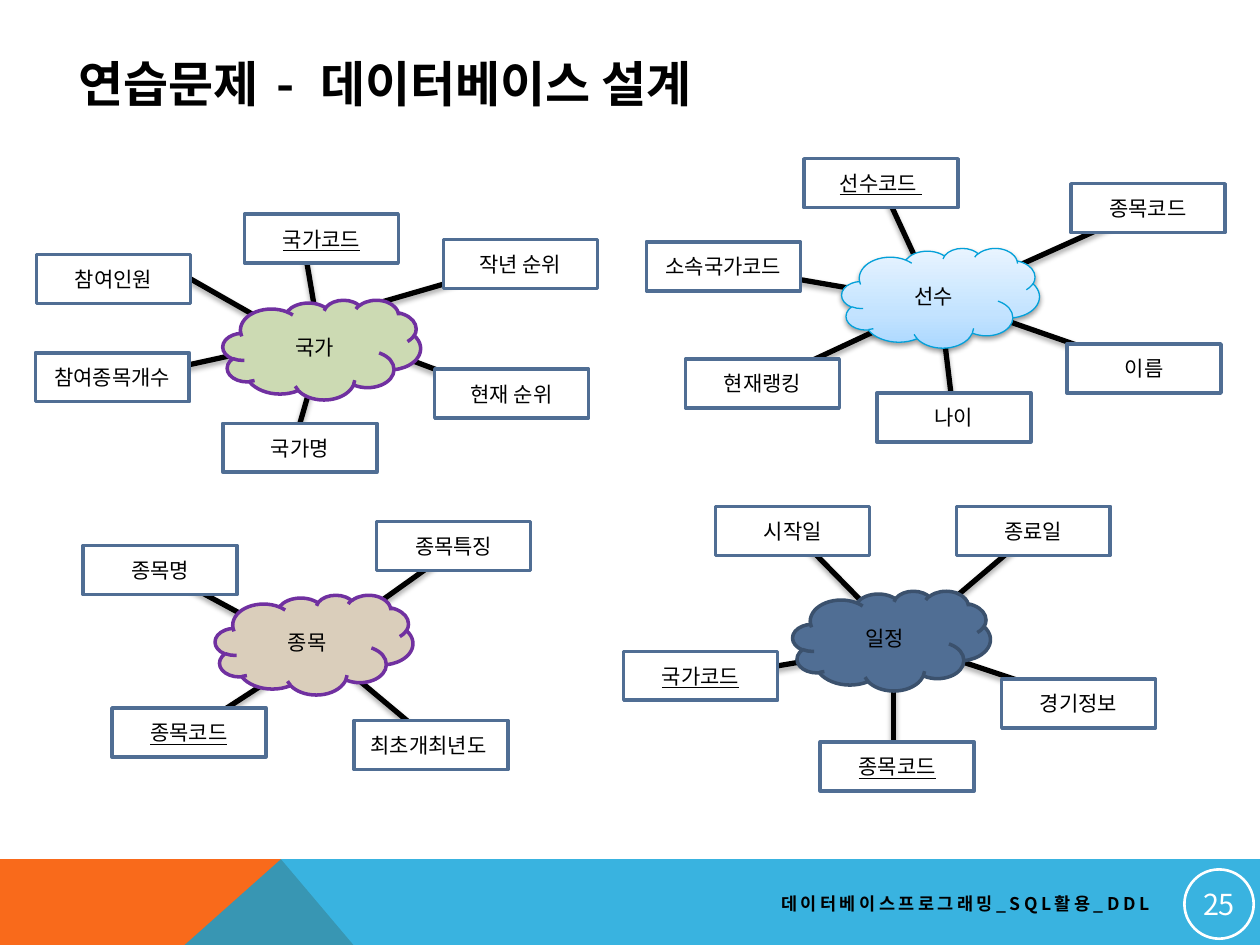
from lxml import etree
from pptx import Presentation
from pptx import util as u
from pptx.dml.color import RGBColor
from pptx.enum import shapes, text
from pptx.oxml import parse_xml
from pptx.oxml.ns import nsdecls, qn

Pt = u.Pt
MID = text.MSO_ANCHOR.MIDDLE
LEFT, CENTER, RIGHT = text.PP_ALIGN.LEFT, text.PP_ALIGN.CENTER, text.PP_ALIGN.RIGHT

THEME = {
    "font": "Noto Sans CJK KR",
    "ink": "000000", "paper": "FFFFFF", "box": "506E94",
    "orange": "F96A1B", "blue": "08A1D9",
    "title": 28, "label": 12, "foot": 10, "page": 16.5,
}
BOX, CLOUD = (88, 28), (113, 57)
TITLE = [("연습문제", 0), (" - ", 4.2), ("데이터베이스 설계", 0)]
FOOT = "데이터베이스프로그래밍_SQL활용_DDL"
PAGE = "25"
BANDS = [
    ("orange", 100, [(0, 491), (160.6, 491), (202, 540), (0, 540)]),
    ("blue", 80, [(160.6, 491), (720, 491), (720, 540), (105.5, 540)]),
]
SKY = [(0, "ABD8FF"), (35, "C3E3FF"), (100, "E8F4FF")]

# label, box corner, hub end, key?, box end: None = centre, number = side, pair = point
ENTITIES = [
    {"name": "종목", "at": (123, 340), "fill": "DACEBB", "line": ("7030A0", 2), "parts": [
        ("최초개최년도 ", (202.3, 411.8), (179.3, 367.2), False, (249, 425.5)),
        ("종목코드", (64, 404.6), (170.6, 378), True, None),
        ("종목명", (47.5, 311.8), (170.6, 368.6), False, None),
        ("종목특징", (215.3, 298), (179.3, 370.8), False, (259.2, 313.9)),
    ]},
    {"name": "일정", "at": (453, 337.7), "fill": "506E94", "line": ("3B516D", 2), "parts": [
        ("국가코드", (356.4, 372.2), (509.8, 369.4), True, (400.3, 388)),
        ("시작일", (409, 289.4), (509.8, 361.4), False, None),
        ("경기정보", (572.4, 388), (512.6, 365.8), False, (616.3, 400.3)),
        ("종료일", (546.5, 289.4), (545, 342), False, None),
        ("종목코드", (468.7, 424), (510.5, 369.4), True, (510.5, 436.3)),
    ]},
    {"name": "선수", "at": (481, 141.8), "fill": SKY, "line": ("03A0D9", 0.75), "parts": [
        ("종목코드", (612, 105), (541.4, 170), False, (653.8, 119.5)),
        ("이름", (609.8, 196.6), (537, 170), False, None),
        ("현재랭킹", (391.7, 205.2), (537, 172), False, None),
        ("나이", (501.1, 224.6), (537, 172), False, None),
        ("선수코드 ", (459.4, 90.7), (534.2, 171.4), True, None),
        ("소속국가코드", (369.4, 138.2), (536.4, 173.5), False, None),
    ]},
    {"name": "국가", "at": (127.4, 171.4), "fill": "CCDAB3", "line": ("7030A0", 2), "parts": [
        ("참여종목개수", (20.2, 201.6), (152.6, 198.7), False, (73.4, 216)),
        ("참여인원", (20.9, 145.4), (177.8, 198.7), False, 3),
        ("국가코드", (139.7, 122.4), (183.6, 198.7), True, (171.4, 126.7)),
        ("현재 순위", (248.4, 211), (208, 195.8), False, (285, 224.6)),
        ("국가명", (127.4, 241.9), (183.6, 199.4), False, 0),
        ("작년 순위", (253.4, 136.8), (197.3, 178.6), False, (292.3, 151.2)),
    ]},
]


def rgb(c):
    return RGBColor.from_string(c)


def write(shape, runs, size, align=CENTER, color="ink", inset=None, **fmt):
    frame = shape.text_frame
    frame.word_wrap, frame.vertical_anchor = True, MID
    if inset is not None:
        for side in ("left", "right", "top", "bottom"):
            setattr(frame, "margin_" + side, Pt(inset))
    par = frame.paragraphs[0]
    par.alignment = align
    fmt = {"size": Pt(THEME[size]), "name": THEME["font"], **fmt}
    for words, gap in runs:
        run = par.add_run()
        run.text = words
        run.font.color.rgb = rgb(THEME[color])
        for key, val in fmt.items():
            setattr(run.font, key, val)
        props = run._r.get_or_add_rPr()
        etree.SubElement(props, qn("a:ea")).set("typeface", THEME["font"])
        if gap:
            props.set("spc", str(round(gap * 100)))


def shade(shape, alpha, dist):
    shape._element.spPr.append(parse_xml(
        f'<a:effectLst {nsdecls("a")}><a:outerShdw blurRad="{Pt(3.1)}" dist="{Pt(dist)}" '
        f'dir="5400000" rotWithShape="0"><a:srgbClr val="000000">'
        f'<a:alpha val="{alpha * 1000}"/></a:srgbClr></a:outerShdw></a:effectLst>'))


def blend(shape, stops):
    marks = "".join(f'<a:gs pos="{p * 1000}"><a:srgbClr val="{c}"/></a:gs>' for p, c in stops)
    shape._element.spPr.insert(2, parse_xml(
        f'<a:gradFill {nsdecls("a")} rotWithShape="1"><a:gsLst>{marks}</a:gsLst>'
        f'<a:lin ang="16200000" scaled="0"/></a:gradFill>'))


def node(slide, kind, at, size, fill, line):
    shape = slide.shapes.add_shape(kind, *map(Pt, at + size))
    if isinstance(fill, list):
        blend(shape, fill)
    elif fill:
        shape.fill.solid()
        shape.fill.fore_color.rgb = rgb(fill)
    else:
        shape.fill.background()
    shape.line.color.rgb, shape.line.width = rgb(line[0]), Pt(line[1])
    if isinstance(fill, list):
        shade(shape, 38, 1.6)
    else:
        shape.shadow.inherit = False
    return shape


def link(slide, box, at, hub, end):
    point = end if isinstance(end, tuple) else tuple(a + s / 2 for a, s in zip(at, BOX))
    wire = slide.shapes.add_connector(shapes.MSO_CONNECTOR.STRAIGHT, *map(Pt, point + hub))
    if isinstance(end, int):
        wire.begin_connect(box, end)
    wire.line.color.rgb, wire.line.width = rgb(THEME["ink"]), Pt(3)
    shade(wire, 35, 1.8)
    slide.shapes._spTree.insert(2, wire._element)


def draw(slide, item):
    for label, at, hub, key, end in item["parts"]:
        box = node(slide, shapes.MSO_SHAPE.RECTANGLE, at, BOX, THEME["paper"], (THEME["box"], 2))
        write(box, [(label, 0)], "label", underline=key)
        link(slide, box, at, hub, end)
    cloud = node(slide, shapes.MSO_SHAPE.CLOUD, item["at"], CLOUD, item["fill"], item["line"])
    write(cloud, [(item["name"], 0)], "label")


def band(slide, color, alpha, points):
    pen = slide.shapes.build_freeform(*map(Pt, points[0]))
    pen.add_line_segments([tuple(map(Pt, p)) for p in points[1:]], close=True)
    shape = pen.convert_to_shape()
    shape.shadow.inherit = False
    shape.line.fill.background()
    shape.fill.solid()
    shape.fill.fore_color.rgb = rgb(THEME[color])
    if alpha < 100:
        tint = shape._element.spPr.find(".//" + qn("a:srgbClr"))
        etree.SubElement(tint, qn("a:alpha")).set("val", str(alpha * 1000))


def main():
    deck = Presentation()
    deck.slide_width, deck.slide_height = Pt(720), Pt(540)
    slide = deck.slides.add_slide(deck.slide_layouts[5])
    for args in BANDS:
        band(slide, *args)
    head = slide.shapes.title
    for key, val in zip(("left", "top", "width", "height"), (37.4, 25.9, 592, 43.2)):
        setattr(head, key, Pt(val))
    write(head, TITLE, "title", LEFT, bold=True)
    foot = slide.shapes.add_textbox(*map(Pt, (257.8, 505.4, 406, 21.6)))
    write(foot, [(FOOT, 2)], "foot", RIGHT, bold=True)
    ring = node(slide, shapes.MSO_SHAPE.OVAL, (676.8, 496.8), (39.6, 39.6), None, (THEME["paper"], 1.5))
    write(ring, [(PAGE, 0)], "page", color="paper", inset=0.72)
    for item in ENTITIES:
        draw(slide, item)
    deck.save("out.pptx")


if __name__ == "__main__":
    main()
